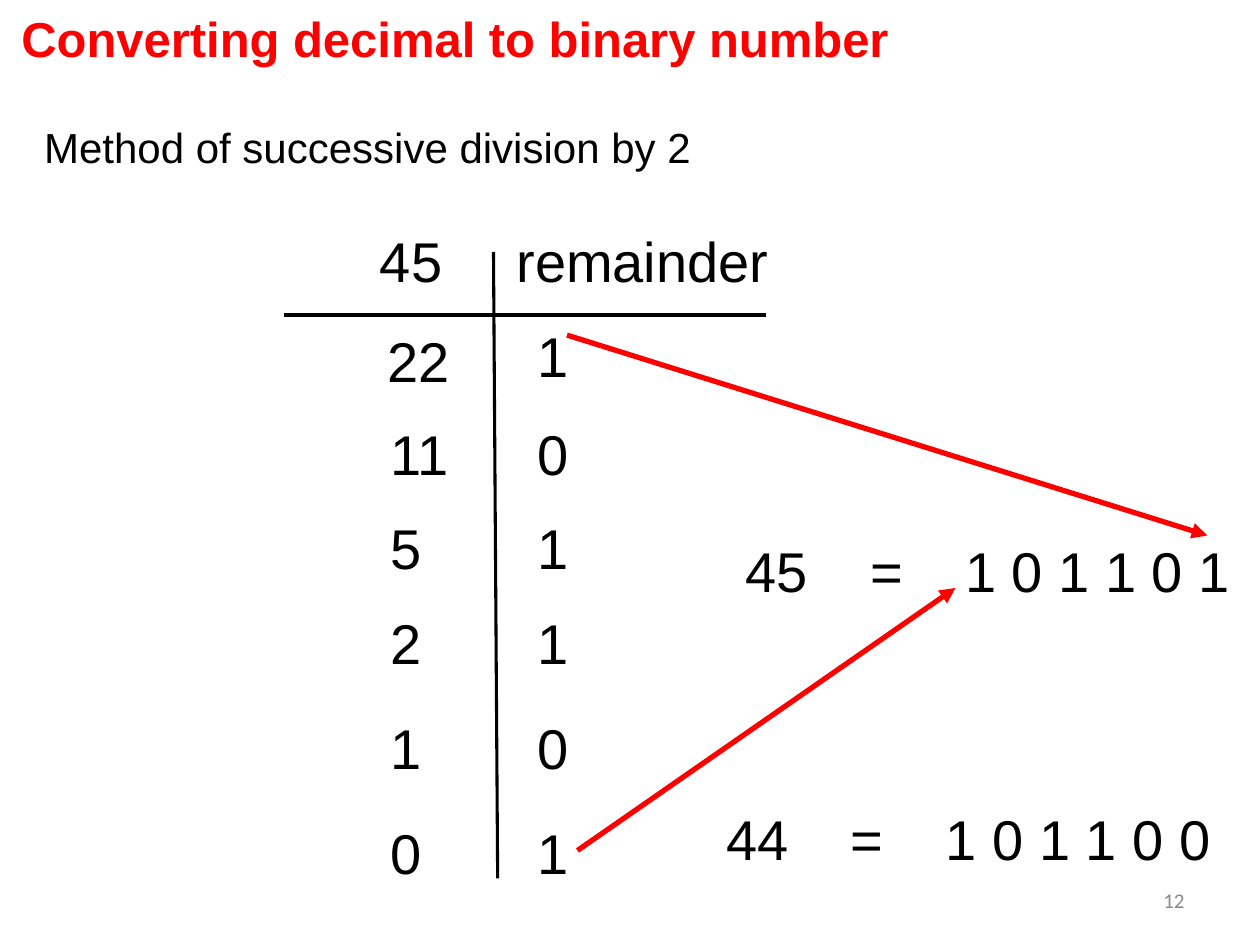
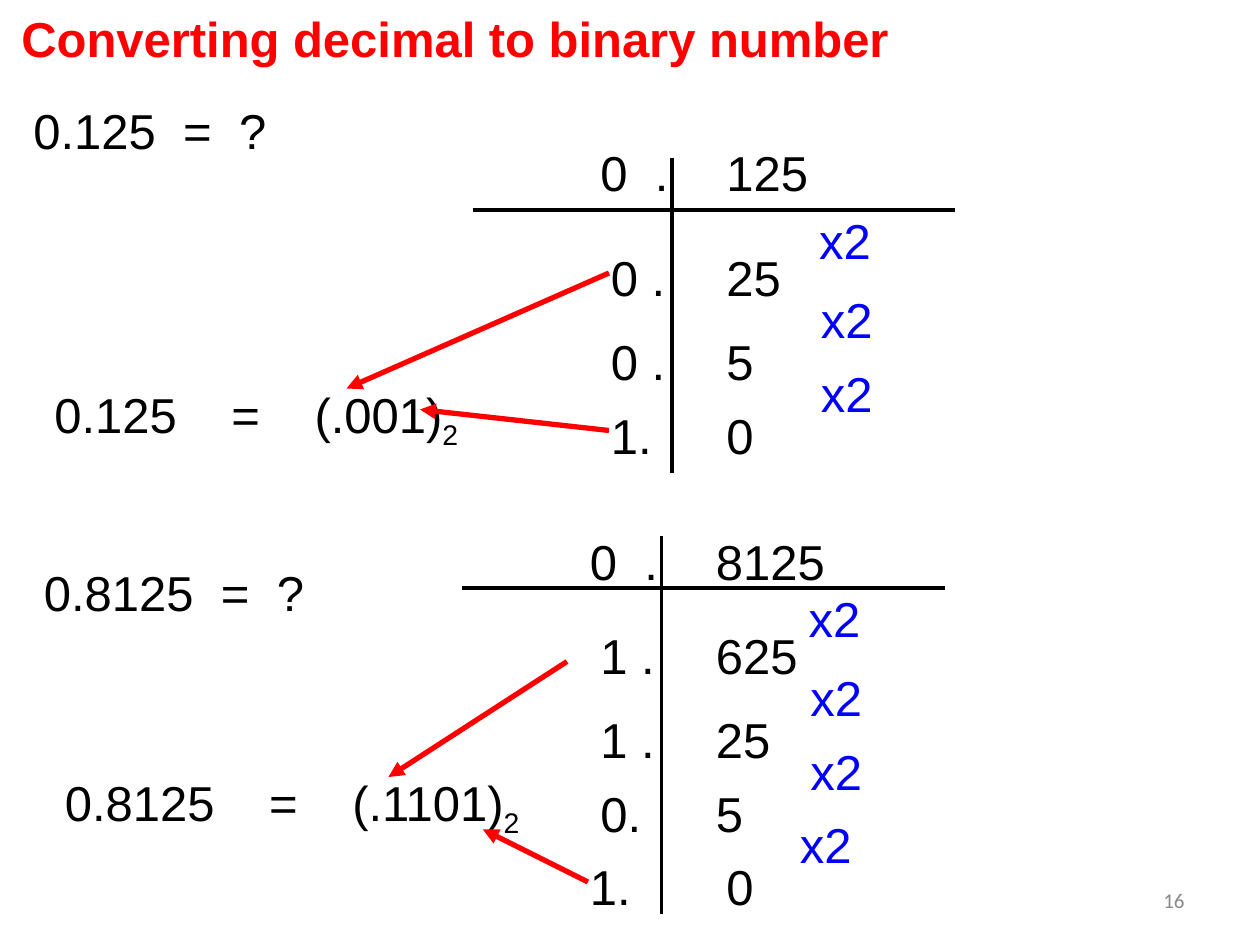
from dataclasses import dataclass

from lxml import etree
from pptx import Presentation
from pptx.dml.color import RGBColor
from pptx.enum import shapes, text
from pptx.oxml import ns
from pptx.util import Pt


@dataclass(frozen=True)
class Theme:
    """Colours, fonts and type sizes of the deck."""
    ink: str = "000000"
    accent: str = "FF0000"
    factor: str = "0000FF"
    muted: str = "898989"
    font: str = "Arial"
    number_font: str = "Calibri"
    large: int = 32
    medium: int = 28
    body: int = 24
    small: int = 12
    rule: float = 1.75
    arrow: float = 3


THEME = Theme()
TITLE = "Converting decimal to binary number"
ADVANCES = {" ": 0.278, ".": 0.278, "=": 0.584, "(": 0.333, ")": 0.333,
            "r": 0.333, "m": 0.833, "i": 0.222, "x": 0.5}
INSET = 7.2


def apply(target, formats):
    """Set each attribute of target from a dict of format values."""
    for name, value in formats.items():
        setattr(target, name, value)


def words_width(words, size):
    """Return the width of words set in the main font."""
    return size * sum(ADVANCES.get(letter, 0.556) for letter in words)


def place(shape, left, top, width, height):
    """Move and size a shape in points."""
    apply(shape, {"left": Pt(left), "top": Pt(top),
                  "width": Pt(width), "height": Pt(height)})


def write(paragraph, words, size, colour=THEME.ink, font=THEME.font, bold=False):
    """Add a formatted run to a paragraph."""
    run = paragraph.add_run()
    run.text = words
    apply(run.font, {"name": font, "size": Pt(size), "bold": bold})
    run.font.color.rgb = RGBColor.from_string(colour)
    return run


def fill_placeholder(shape, box, words, size, **style):
    """Move a placeholder and give it one plain line of text."""
    place(shape, *box)
    apply(shape.text_frame, {"word_wrap": True, "auto_size": text.MSO_AUTO_SIZE.NONE,
                             "vertical_anchor": text.MSO_ANCHOR.TOP})
    paragraph = shape.text_frame.paragraphs[0]
    apply(paragraph, {"alignment": text.PP_ALIGN.LEFT, "space_before": Pt(0)})
    properties = paragraph._p.get_or_add_pPr()
    apply_xml = {"marL": "0", "indent": "0"}
    for name, value in apply_xml.items():
        properties.set(name, value)
    etree.SubElement(properties, ns.qn("a:buNone"))
    write(paragraph, words, size, **style)


def add_box(slide, left, top, width, size):
    """Add a one-line text box and return its paragraph."""
    shape = slide.shapes.add_textbox(Pt(left), Pt(top), Pt(width),
                                     Pt(1.2 * size + INSET))
    shape.text_frame.word_wrap = True
    return shape.text_frame.paragraphs[0]


def add_label(slide, left, top, words, size, colour=THEME.ink):
    """Add a text box as wide as its words."""
    width = words_width(words, size) + 2 * INSET + 1
    write(add_box(slide, left, top, width, size), words, size, colour)


def add_spaced(slide, left, top, parts, size, gap, subscript=""):
    """Add parts of a line set apart by tab stops, with an optional subscript."""
    stops, position = [], 0
    for part in parts:
        position += words_width(part, size)
        stops.append(position + gap * words_width(" ", size))
        position = stops[-1]
    end = position - gap * words_width(" ", size)
    width = end + words_width(subscript, size) + 2 * INSET + 1
    paragraph = add_box(slide, left, top, width, size)
    tabs = etree.SubElement(paragraph._p.get_or_add_pPr(), ns.qn("a:tabLst"))
    for stop in stops[:-1]:
        etree.SubElement(tabs, ns.qn("a:tab"), pos=str(int(Pt(stop))), algn="l")
    write(paragraph, "\t".join(parts), size)
    if subscript:
        run = write(paragraph, subscript, size)
        run._r.get_or_add_rPr().set("baseline", "-25000")


def add_line(slide, start, end, colour=THEME.ink, weight=THEME.rule):
    """Add a straight line without a shadow."""
    line = slide.shapes.add_connector(shapes.MSO_CONNECTOR.STRAIGHT,
                                      *(Pt(value) for value in (*start, *end)))
    line.line.color.rgb = RGBColor.from_string(colour)
    line.line.width = Pt(weight)
    etree.SubElement(line._element.spPr, ns.qn("a:effectLst"))
    return line


def add_arrow(slide, start, end):
    """Add a red arrow that ends in a triangle."""
    arrow = add_line(slide, start, end, THEME.accent, THEME.arrow)
    etree.SubElement(arrow.line._get_or_add_ln(), ns.qn("a:tailEnd"), type="triangle")


def add_slide(presentation, layout, number):
    """Add a slide with the shared title and its page number."""
    slide = presentation.slides.add_slide(presentation.slide_layouts[layout])
    fill_placeholder(slide.shapes.title, (5, 1, 516, 41), TITLE, THEME.medium,
                     colour=THEME.accent, bold=True)
    paragraph = add_box(slide, 516, 503.5, 168, THEME.small)
    paragraph.alignment = text.PP_ALIGN.RIGHT
    write(paragraph, number, THEME.small, THEME.muted, THEME.number_font)
    return slide


def add_multiplication(slide, left, top, height, header_top, fraction, rows, factors):
    """Add a repeated doubling around a vertical rule at left and top."""
    size = THEME.medium
    add_line(slide, (left, top), (left, top + height))
    add_line(slide, (left - 114, top + 30), (left + 162, top + 30))
    add_spaced(slide, left - 48, header_top, ("0", "."), size, 2)
    add_label(slide, left + 24, header_top, fraction, size)
    for row_top, whole, whole_x, part, part_x in rows:
        add_label(slide, left + whole_x, top + row_top, whole, size)
        add_label(slide, left + part_x, top + row_top, part, size)
    for factor_x, factor_top in factors:
        add_label(slide, left + factor_x, top + factor_top, "x2", size, THEME.factor)


def build_division(presentation):
    """Build the slide on successive division."""
    slide = add_slide(presentation, 1, "12")
    fill_placeholder(slide.placeholders[1], (18, 66, 388, 37),
                     "Method of successive division by 2", THEME.body)
    add_line(slide, (282, 144), (284.4, 502))
    add_line(slide, (162, 180), (438, 180))
    labels = [(210, 126, "45"), (288, 126, "remainder"),
              (214.5, 183, "22"), (300, 180, "1")]
    rows = zip((236, 290, 344, 404, 464), ("11", "5", "2", "1", "0"), "01101")
    for top, quotient, remainder in rows:
        labels += [(216, top, quotient), (300, top, remainder)]
    for label in labels:
        add_label(slide, *label, THEME.large)
    add_spaced(slide, 419, 303, ("45", "=", "1 0 1 1 0 1"), THEME.large, 4)
    add_spaced(slide, 408, 456, ("44", "=", "1 0 1 1 0 0"), THEME.large, 4)
    add_arrow(slide, (330, 486), (546, 336))
    add_arrow(slide, (324, 191.5), (690, 306))


def build_multiplication(presentation):
    """Build the slide on successive multiplication."""
    slide = add_slide(presentation, 5, "16")
    factors = [(77, 27), (78, 72), (78, 114), (72, 156)]
    add_multiplication(slide, 384, 90, 180, 78, "125",
                       [(48, "0 .", -42, "25", 24), (96, "0 .", -42, "5", 24),
                        (138, "1.", -42, "0", 24)], factors[:3])
    add_multiplication(slide, 378, 306, 216, 300, "8125",
                       [(48, "1 .", -42, "625", 24), (96, "1 .", -42, "25", 24),
                        (138, "0.", -42, "5", 24), (180, "1.", -48, "0", 30)], factors)
    for left, top, decimal in ((12, 54, "0.125"), (18, 318, "0.8125")):
        add_spaced(slide, left, top, (decimal, "=", "?"), THEME.medium, 2)
    for left, top, decimal, binary in ((24, 216, "0.125", "(.001)"),
                                       (30, 438, "0.8125", "(.1101)")):
        add_spaced(slide, left, top, (decimal, "=", binary), THEME.medium, 4, "2")
    for start, end in (((348, 156), (198, 222)), ((348, 246), (240, 234)),
                       ((324, 378), (222, 444)), ((336, 504), (276, 474))):
        add_arrow(slide, start, end)


def main():
    """Build and save the presentation."""
    presentation = Presentation()
    apply(presentation, {"slide_width": Pt(720), "slide_height": Pt(540)})
    build_division(presentation)
    build_multiplication(presentation)
    presentation.save("out.pptx")


if __name__ == "__main__":
    main()
